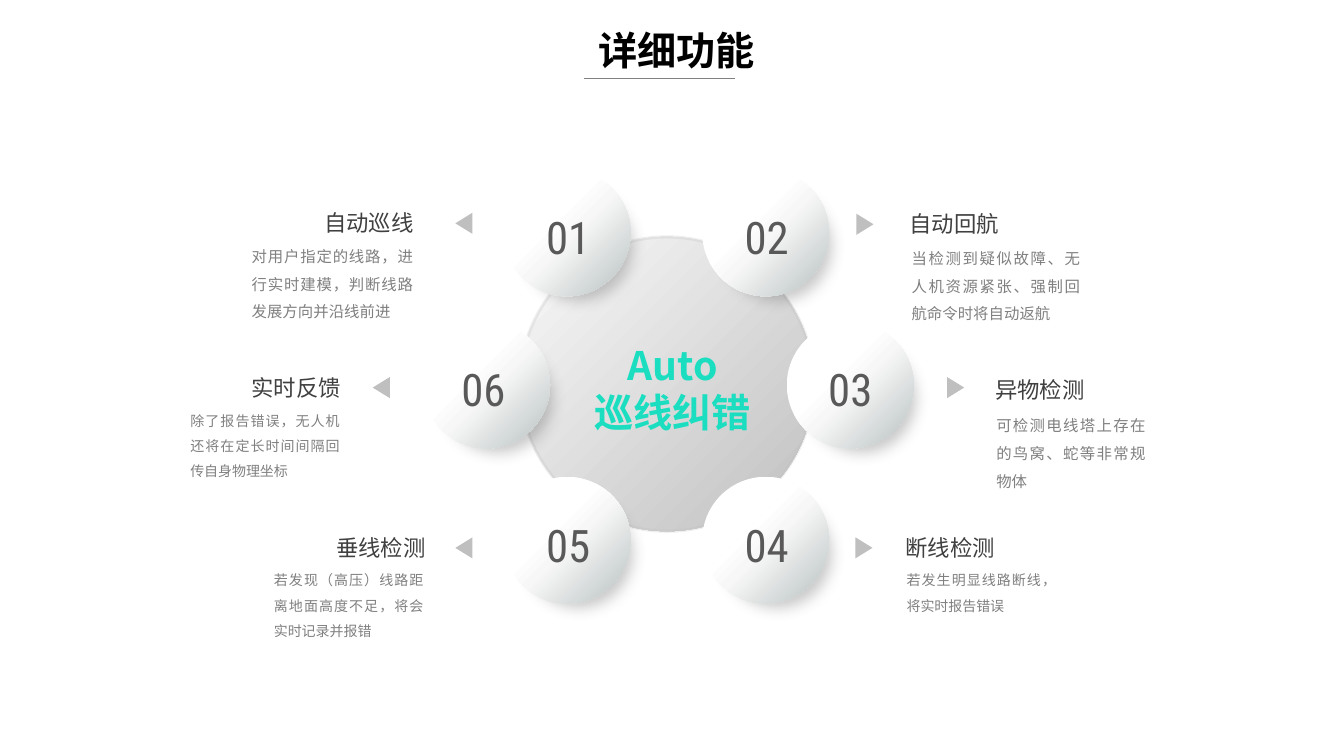
from lxml import etree
from pptx import Presentation, util as u
from pptx.dml.color import RGBColor
from pptx.enum import shapes, text
from pptx.oxml.ns import qn

SHAPE = shapes.MSO_SHAPE
ALIGN = text.PP_ALIGN
CJK = "Noto Sans CJK JP"

prs = Presentation()
prs.slide_width, prs.slide_height = u.Inches(13.34), u.Inches(7.5)
s = prs.slides.add_slide(prs.slide_layouts[6])


def add_shape(kind, box, stops):
    sp = s.shapes.add_shape(kind, *map(u.Inches, box))
    sp.shadow.inherit = False
    sp.line.fill.background()
    if len(stops) == 1:
        sp.fill.solid()
        sp.fill.fore_color.rgb = RGBColor.from_string(stops[0][1])
        return sp
    sp.fill.gradient()
    sp.fill.gradient_angle = 315
    gs_list = sp._element.spPr.find(".//" + qn("a:gsLst"))
    for gs in list(gs_list):
        gs_list.remove(gs)
    for pos, color in stops:
        gs = etree.SubElement(gs_list, qn("a:gs"), pos=str(pos * 1000))
        etree.SubElement(gs, qn("a:srgbClr"), val=color)
    return sp


def add_text(box, words, size, color, align, font=CJK, bold=False, spacing=None):
    tf = s.shapes.add_textbox(*map(u.Inches, box)).text_frame
    tf.word_wrap = True
    p = tf.paragraphs[0]
    p.text = words
    p.alignment = align
    p.line_spacing = spacing
    for r in p.runs:
        for name, value in {"name": font, "size": u.Pt(size), "bold": bold}.items():
            setattr(r.font, name, value)
        r.font.color.rgb = RGBColor.from_string(color)
        etree.SubElement(r._r.get_or_add_rPr(), qn("a:ea"), typeface=CJK)


hub = add_shape(SHAPE.OVAL, (5.16, 2.35, 2.92, 2.92), [(0, "FAFAFA"), (100, "BFBFBF")])
hub.line.color.rgb = RGBColor.from_string("BFBFBF")
hub.line.width = u.Pt(2.25)
hub_line = hub.line._ln.find(".//" + qn("a:srgbClr"))
etree.SubElement(hub_line, qn("a:alpha"), val="25000")

balls = [
    ("01", 5, 1.68, 5.3, 2.03, 0.68),
    ("02", 6.97, 1.68, 7.27, 2.03, 0.68),
    ("05", 5, 4.73, 5.3, 5.09, 0.68),
    ("04", 6.97, 4.73, 7.27, 5.09, 0.68),
    ("06", 4.2, 3.19, 4.43, 3.54, 0.74),
    ("03", 7.81, 3.19, 8.1, 3.54, 0.68),
]
for number, x, y, text_x, text_y, text_w in balls:
    base = add_shape(SHAPE.OVAL, (x + 0.15, y + 0.17, 1.06, 1.06),
                     [(0, "FFFFFF"), (43, "F7F7F7"), (100, "B8C0C0")])
    shadow = etree.SubElement(
        base._element.spPr.find(qn("a:effectLst")), qn("a:outerShdw"),
        blurRad=str(u.Pt(11)), dist=str(u.Pt(7)), dir="2700000", algn="tl", rotWithShape="0")
    shade = etree.SubElement(shadow, qn("a:srgbClr"), val="494949")
    etree.SubElement(shade, qn("a:alpha"), val="30000")
    add_shape(SHAPE.OVAL, (x, y, 1.26, 1.26),
              [(11, "FFFFFF"), (39, "FFFFFF"), (53, "F7F7F7"), (100, "B8C0C0")])
    add_text((text_x, text_y, text_w, 0.64), number, 32, "595959", ALIGN.CENTER,
             "Roboto Condensed")

arrows = [(8.48, 2.14, 90), (9.38, 3.76, 90), (8.47, 5.35, 90),
          (3.68, 3.76, 270), (4.5, 2.13, 270), (4.5, 5.35, 270)]
for x, y, turn in arrows:
    add_shape(SHAPE.ISOSCELES_TRIANGLE, (x, y, 0.21, 0.17), [(0, "BFBFBF")]).rotation = turn

features = [
    ("自动巡线", (3.12, 2.03, 1.16, 0.37),
     "对用户指定的线路，进行实时建模，判断线路发展方向并沿线前进", (2.4, 2.31, 1.8, 0.9), 11),
    ("实时反馈", (2.4, 3.66, 1.63, 0.37),
     "除了报告错误，无人机还将在定长时间间隔回传自身物理坐标", (1.79, 3.96, 1.68, 0.83), 10),
    ("垂线检测", (3.24, 5.25, 1.63, 0.37),
     "若发现（高压）线路距离地面高度不足，将会实时记录并报错", (2.62, 5.54, 1.68, 0.83), 10),
    ("断线检测", (8.89, 5.25, 1.63, 0.37),
     "若发生明显线路断线，将实时报告错误", (8.9, 5.54, 1.68, 0.58), 10),
    ("异物检测", (9.78, 3.68, 1.63, 0.37),
     "可检测电线塔上存在的鸟窝、蛇等非常规物体", (9.79, 3.99, 1.68, 0.9), 11),
    ("自动回航", (8.93, 2.04, 1.63, 0.37),
     "当检测到疑似故障、无人机资源紧张、强制回航命令时将自动返航", (8.95, 2.33, 1.87, 0.9), 11),
]
for heading, heading_box, detail, detail_box, size in features:
    add_text(heading_box, heading, 16, "404040", ALIGN.LEFT)
    add_text(detail_box, detail, size, "808080", ALIGN.JUSTIFY, spacing=1.5)

add_text((5.75, 3.34, 1.85, 1.04), "Auto\v巡线纠错", 28, "1BDEC0", ALIGN.CENTER, bold=True)
add_text((4.48, 0.21, 4.47, 0.57), "详细功能", 28, "000000", ALIGN.CENTER, "Calibri", True)

rule = s.shapes.add_connector(shapes.MSO_CONNECTOR.STRAIGHT,
                              *map(u.Inches, (5.8, 0.78, 7.3, 0.78)))
rule.line.color.rgb = RGBColor.from_string("808080")
rule.line.width = u.Pt(0.75)
etree.SubElement(rule._element.spPr, qn("a:effectLst"))

prs.save("out.pptx")
